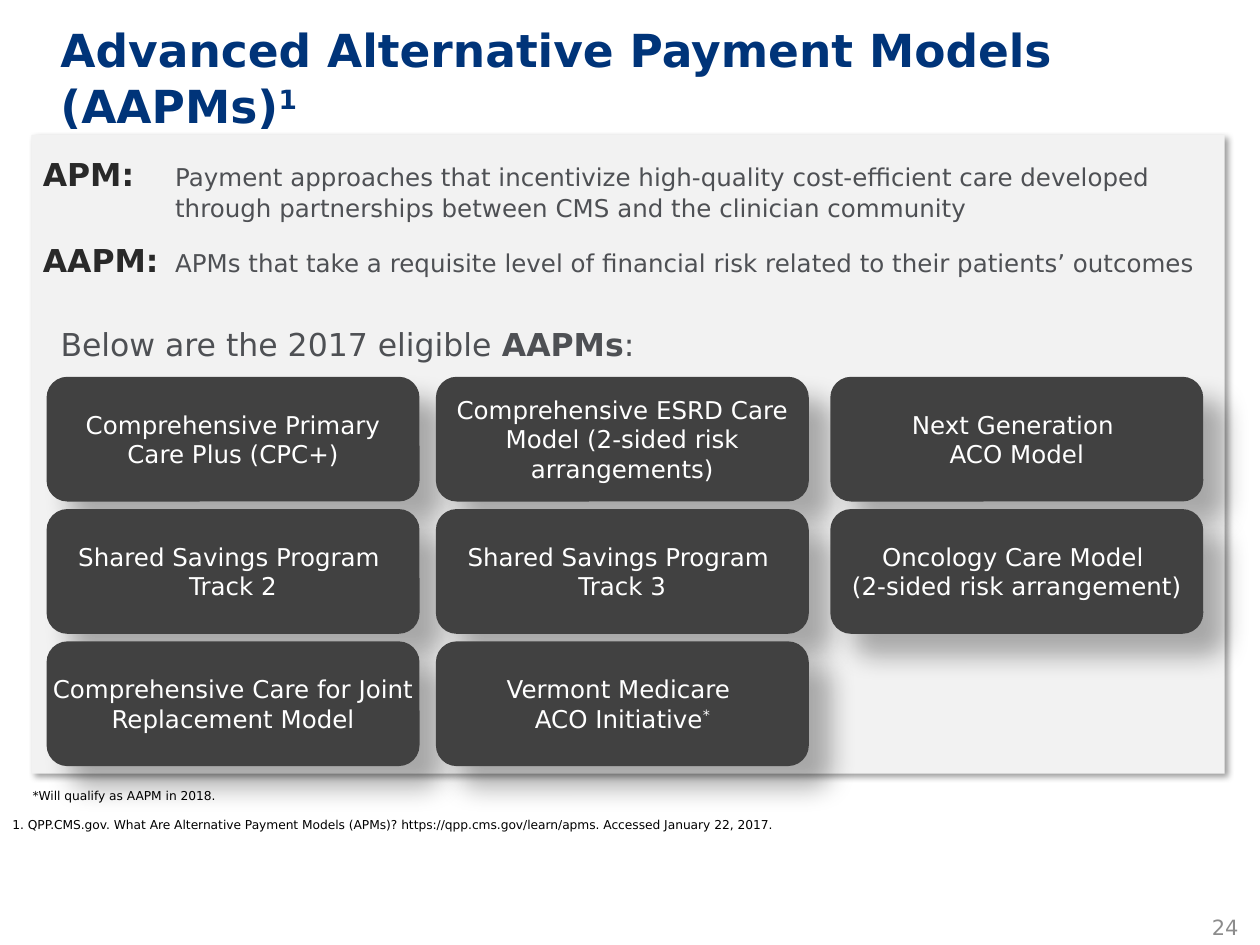
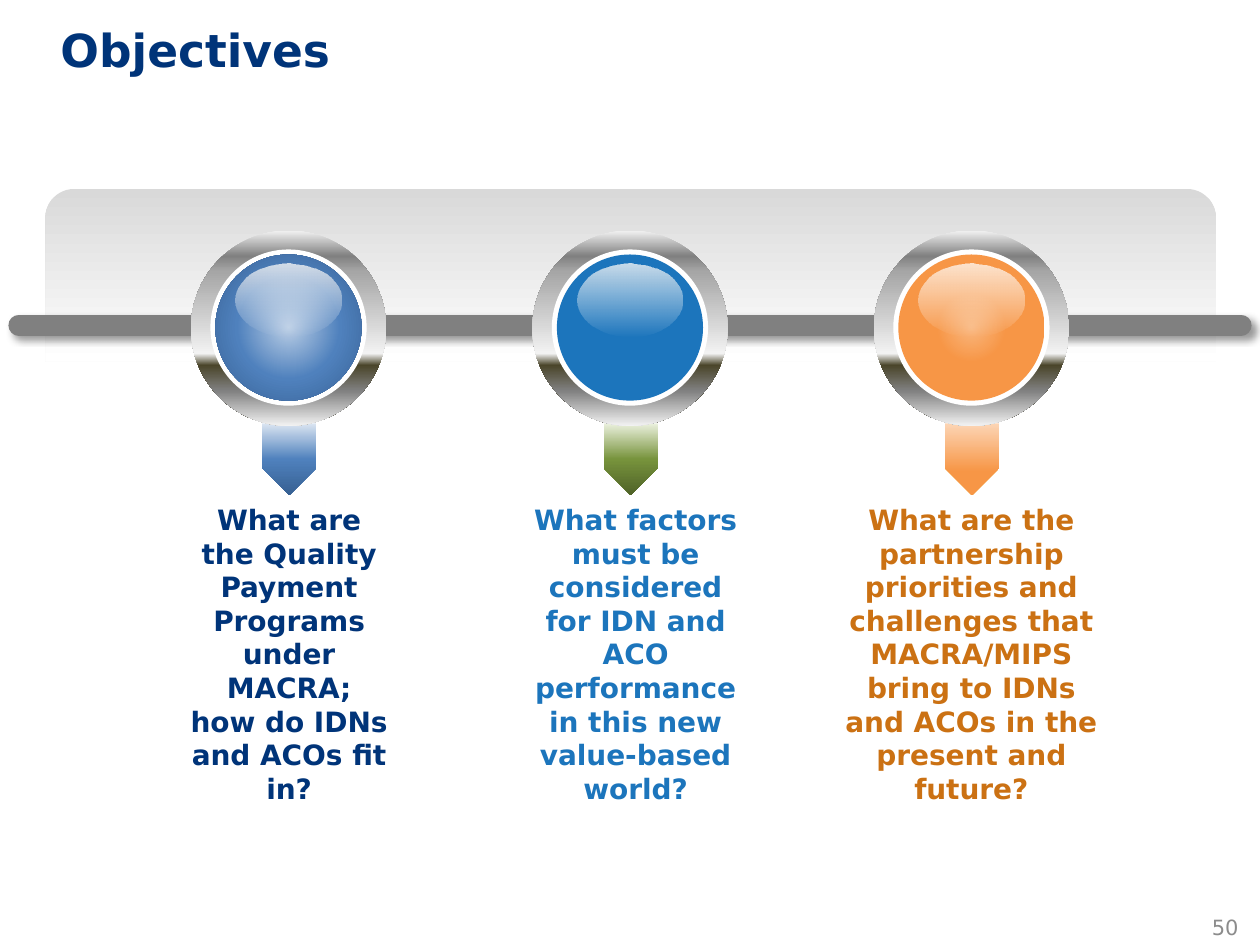
"""Build two slides: the advanced payment models and the objectives."""
from copy import deepcopy

from lxml.etree import SubElement
from pptx import Presentation
from pptx.dml.color import RGBColor
from pptx.enum.shapes import MSO_CONNECTOR, MSO_SHAPE
from pptx.enum.text import MSO_ANCHOR, MSO_AUTO_SIZE, PP_ALIGN
from pptx.oxml.ns import qn
from pptx.util import Inches, Pt

FONT = "DejaVu Sans"
NAVY, BLUE, ORANGE = "003479", "1C75BC", "CB7113"
INK, GREY, WHITE, BLACK = "292929", "4E5054", "FFFFFF", "000000"
PANEL_SHADOW = (40, 4, 3)
CARD_SHADOW = (30, 15, 18)
DOWN = 90
CHROME = [(0, "F2F2F2"), (13, "808080"), (21, "A6A6A6"), (63, "F2F2F2"),
          (69, "4A452A"), (82, "808080"), (100, "F2F2F2")]
GLOSS = [(0, "FFFCF9", 77), (100, WHITE, 0)]


def add_figure(shapes, kind, at, fill, angle=None, shadow=None):
    """Add a borderless shape; a list of stops as fill gives a gradient, round without angle."""
    figure = shapes.add_shape(kind, *[Inches(length) for length in at])
    properties = figure._element.spPr
    figure.line.fill.background()
    figure.shadow.inherit = False
    if isinstance(fill, str):
        figure.fill.solid()
        figure.fill.fore_color.rgb = RGBColor.from_string(fill)
    else:
        figure.fill.gradient()
        gradient = properties.find(qn("a:gradFill"))
        for child in list(gradient):
            gradient.remove(child)
        gradient.set("rotWithShape", "1")
        stops = SubElement(gradient, qn("a:gsLst"))
        for position, colour, *alpha in fill:
            stop = SubElement(stops, qn("a:gs"), pos=str(position * 1000))
            tone = SubElement(stop, qn("a:srgbClr"), val=colour)
            if alpha:
                SubElement(tone, qn("a:alpha"), val=str(alpha[0] * 1000))
        if angle is None:
            centre = SubElement(gradient, qn("a:path"), path="circle")
            SubElement(centre, qn("a:fillToRect"), l="50000", t="50000", r="50000", b="50000")
        else:
            SubElement(gradient, qn("a:lin"), ang=str(angle * 60000), scaled="0")
    if shadow:
        alpha, blur, distance = shadow
        cast = SubElement(properties.find(qn("a:effectLst")), qn("a:outerShdw"),
                          blurRad=str(Pt(blur)), dist=str(Pt(distance)),
                          dir=str(45 * 60000), algn="tl", rotWithShape="0")
        tone = SubElement(cast, qn("a:srgbClr"), val=BLACK)
        SubElement(tone, qn("a:alpha"), val=str(alpha * 1000))
    return figure


def write(box, paragraphs, align=PP_ALIGN.LEFT, anchor=MSO_ANCHOR.TOP, inset=(0, 0), grow=False):
    """Fill a box with paragraphs of runs: text, size, colour, bold, raised."""
    frame = box.text_frame
    frame.word_wrap = True
    frame.vertical_anchor = anchor
    frame.auto_size = MSO_AUTO_SIZE.SHAPE_TO_FIT_TEXT if grow else MSO_AUTO_SIZE.NONE
    frame.margin_left = frame.margin_right = Inches(inset[0])
    frame.margin_top = frame.margin_bottom = Inches(inset[1])
    for index, runs in enumerate(paragraphs):
        para = frame.add_paragraph() if index else frame.paragraphs[0]
        para.alignment = align
        for text, size, colour, bold, raised in runs:
            for number, line in enumerate(text.split("\n")):
                if number:
                    para.add_line_break()
                    para._p[-1].append(deepcopy(span._r.rPr))
                span = para.add_run()
                span.text = line
                span.font.name = FONT
                span.font.size = Pt(size)
                span.font.bold = bold
                span.font.color.rgb = RGBColor.from_string(colour)
                if raised:
                    span._r.rPr.set("baseline", "30000")
    return frame.paragraphs


deck = Presentation()
deck.slide_width, deck.slide_height = Inches(10), Inches(7.5)

pages = []
for title, mark, number in [("Advanced Alternative Payment Models (AAPMs)", "1", "24"),
                            ("Objectives", "", "50")]:
    page = deck.slides.add_slide(deck.slide_layouts[6])
    pages.append(page)
    title_runs = [(title, 26, NAVY, True, False)]
    if mark:
        title_runs.append((mark, 26, NAVY, True, True))
    box = page.shapes.add_textbox(Inches(0.48), Inches(0.16), Inches(9.09), Inches(0.87))
    write(box, [title_runs])[0].line_spacing = Pt(32)
    box = page.shapes.add_textbox(Inches(9.42), Inches(7.26), Inches(0.41), Inches(0.12))
    write(box, [[(number, 12, "8C8C8C", False, False)]], PP_ALIGN.RIGHT)
models_page, objectives_page = pages

panel = add_figure(models_page.shapes, MSO_SHAPE.RECTANGLE, (0.25, 1.07, 9.47, 5.07),
                   "F2F2F2", shadow=PANEL_SHADOW)

models = models_page.shapes.add_group_shape().shapes
box = models.add_textbox(Inches(0.39), Inches(2.54), Inches(7.95), Inches(0.39))
write(box, [[("Below are the 2017 eligible ", 18, GREY, False, False),
             ("AAPMs", 18, GREY, True, False),
             (":", 18, GREY, False, False)]], inset=(0.09, 0.04), grow=True)

model_names = [
    ["Comprehensive Primary Care Plus (CPC+)"],
    ["Comprehensive ESRD Care Model (2-sided risk arrangements)"],
    ["Next Generation \nACO Model"],
    ["Shared Savings Program \nTrack 2"],
    ["Shared Savings Program \nTrack 3"],
    ["Oncology Care Model \n(2-sided risk arrangement)"],
    ["Comprehensive Care for Joint Replacement Model"],
    ["Vermont Medicare ", "ACO Initiative*"],
]
column_lefts = (0.37, 3.46, 6.59)
for index, lines in enumerate(model_names):
    row, column = divmod(index, 3)
    card = add_figure(models, MSO_SHAPE.ROUNDED_RECTANGLE,
                      (column_lefts[column], 2.99 + 1.05 * row, 2.96, 0.99),
                      "414141", shadow=CARD_SHADOW)
    paragraphs = []
    for line in lines:
        runs = [(line.rstrip("*"), 14, WHITE, False, False)]
        if line.endswith("*"):
            runs.append(("*", 14, WHITE, False, True))
        paragraphs.append(runs)
    write(card, paragraphs, PP_ALIGN.CENTER, MSO_ANCHOR.MIDDLE, (0 if index else 0.1, 0))

definitions = [
    ("APM: \t", "Payment approaches that incentivize high-quality cost-efficient care "
                "developed through partnerships between CMS and the clinician community"),
    ("AAPM: \t", "APMs that take a requisite level of financial risk related to "
                 "their patients’ outcomes"),
]
box = models_page.shapes.add_textbox(Inches(0.25), Inches(1.19), Inches(9.47), Inches(1.08))
terms = write(box, [[(term, 18, INK, True, False), (meaning, 14, GREY, False, False)]
                    for term, meaning in definitions], inset=(0.09, 0.04), grow=True)
for para in terms:
    para._p.get_or_add_pPr().set("marL", str(Inches(1.05)))
    para._p.get_or_add_pPr().set("indent", str(Inches(-1.05)))
terms[1].space_before = Pt(10.6)

for left, top, note in [
    (0, 6.43, "1. QPP.CMS.gov. What Are Alternative Payment Models (APMs)? "
              "https://qpp.cms.gov/learn/apms. Accessed January 22, 2017."),
    (0.16, 6.2, "*Will qualify as AAPM in 2018."),
]:
    box = models_page.shapes.add_textbox(Inches(left), Inches(top), Inches(9.58), Inches(0.22))
    write(box, [[(note, 7, BLACK, False, False)]], anchor=MSO_ANCHOR.BOTTOM,
          inset=(0.1, 0.05), grow=True)

add_figure(objectives_page.shapes, MSO_SHAPE.ROUND_2_SAME_RECTANGLE, (0.36, 1.5, 9.29, 1.37),
           [(0, "D9D9D9"), (100, WHITE)], DOWN)
rail = objectives_page.shapes.add_connector(MSO_CONNECTOR.STRAIGHT, Inches(9.85), Inches(2.58),
                                            Inches(0.15), Inches(2.58))
rail.line.color.rgb = RGBColor.from_string("808080")
rail.line.width = Pt(12)
rail.line._ln.set("cap", "rnd")
rail._element.spPr.append(deepcopy(panel._element.spPr.find(qn("a:effectLst"))))

objectives = [
    ("What are the Quality Payment Programs under MACRA; how do IDNs and ACOs fit in?",
     NAVY, 1.41, 1.77,
     [(0, "DCE6F2"), (50, "4F81BD"), (100, "376092")],
     [(0, "B9CDE5"), (50, "4F81BD"), (100, "376092")]),
    ("What factors must be considered for IDN and ACO performance in this new "
     "value-based world?",
     BLUE, 4.11, 1.87,
     [(0, "EBF1DE"), (50, "77933C"), (100, "4F6228")],
     BLUE),
    ("What are the partnership priorities and challenges that MACRA/MIPS bring to IDNs "
     "and ACOs in the present and future?",
     ORANGE, 6.61, 2.2,
     [(0, "FCD5B5"), (67, "F79646")],
     [(0, "F9B67D"), (34, "F79646")]),
]
for index, (question, colour, left, width, arrow_fill, lens_fill) in enumerate(objectives):
    middle = 5 + 2.71 * (index - 1)
    button = objectives_page.shapes.add_group_shape().shapes
    arrow = add_figure(button, MSO_SHAPE.PENTAGON, (middle - 0.28, 3.43, 0.57, 0.43),
                       arrow_fill, 0)
    arrow.rotation = 90
    for top, across, height, fill, angle in [(1.83, 1.55, 1.55, CHROME, DOWN),
                                             (1.98, 1.24, 1.24, WHITE, None),
                                             (2.02, 1.16, 1.16, lens_fill, None),
                                             (2.09, 0.84, 0.58, GLOSS, DOWN)]:
        add_figure(button, MSO_SHAPE.OVAL, (middle - across / 2, top, across, height),
                   fill, angle)
    box = objectives_page.shapes.add_textbox(Inches(left), Inches(3.94),
                                             Inches(width), Inches(2.52))
    write(box, [[(question, 16, colour, True, False)]], PP_ALIGN.CENTER,
          inset=(0.1, 0.05), grow=True)

deck.save("out.pptx")
